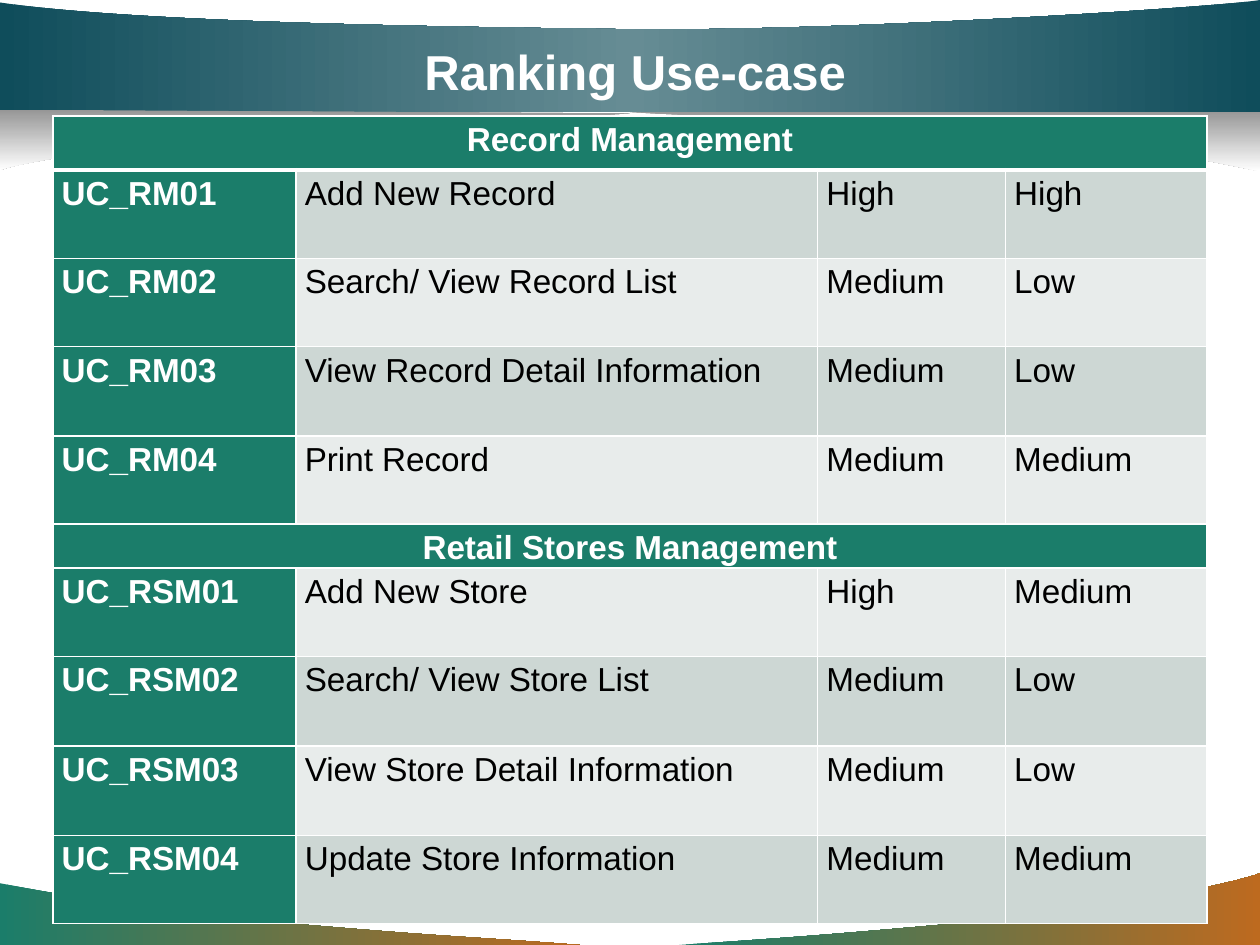
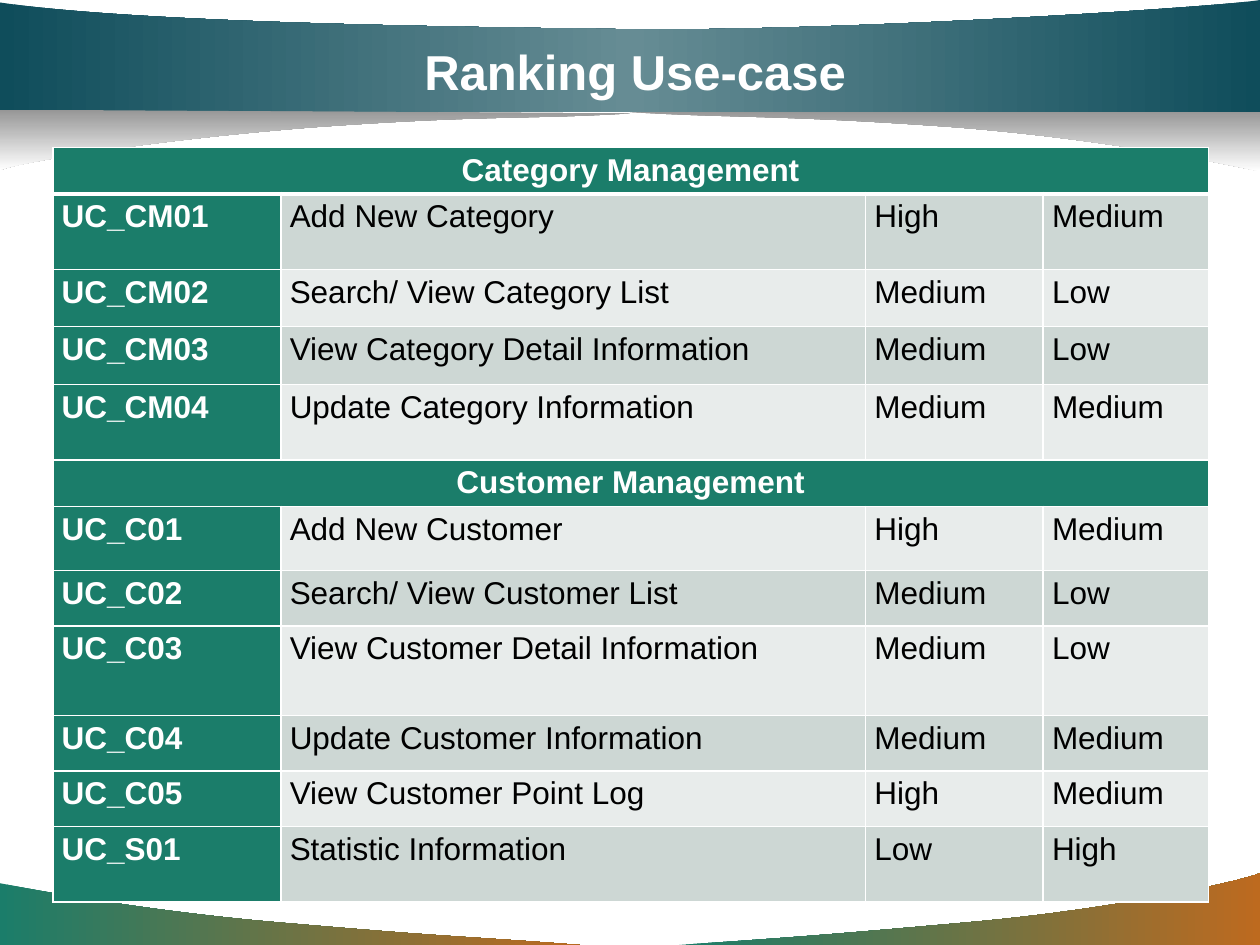
from lxml.etree import SubElement
from pptx import Presentation
from pptx.dml.color import RGBColor
from pptx.enum.text import MSO_ANCHOR as Anchor, PP_ALIGN as Align
from pptx.oxml.ns import qn
from pptx.util import Inches, Pt

FONT = "Arial"
WHITE, BLACK, GREEN = "FFFFFF", "000000", "1B7D6A"
BANDS = ["E8ECEB", "CDD7D4"]  # even rows, odd rows
TITLE = "Ranking Use-case"

FOOT = [GREEN, "BD6A1F"]
SHADE = ["969696", WHITE]
HEAD = ["0F4D5B", "668C94", "0F4D5B"]

# Colours, angle, then steps: two numbers make a line, six make a curve.
WAVES = [
    (FOOT, 0, [(4.6, 7.5), (3.84, 7.44, 3.58, 7.44, 2.32, 7.33),
               (1.06, 7.23, 0.01, 7.01, 0, 7.01), (0, 7.5)]),
    (FOOT, 0, [(5.39, 7.5), (6.14, 7.45, 6.46, 7.43, 7.69, 7.32),
               (8.92, 7.21, 9.9, 6.98, 10, 6.93), (10, 7.5)]),
    (SHADE, 270, [(5, 0.89), (5.84, 0.94, 6.2, 0.91, 7.58, 1.01),
                  (8.97, 1.12, 9.98, 1.36, 10, 1.36), (10, 0.88)]),
    (HEAD, 0, [(0, 0.89), (10, 0.89), (10, 0),
               (9.64, 0.06, 6.53, 0.26, 4.87, 0.23),
               (3.21, 0.21, 1.01, 0.17, 0, 0.02)]),
    (SHADE, 270, [(5, 0.9), (4.16, 0.95, 3.88, 0.91, 2.49, 1.01),
                  (1.1, 1.12, 0.11, 1.3, 0, 1.35), (0, 0.87)]),
]

STORES = [
    ("Record Management",),
    ("UC_RM01", "Add New Record", "High", "High"),
    ("UC_RM02", "Search/ View Record List", "Medium", "Low"),
    ("UC_RM03", "View Record Detail Information", "Medium", "Low"),
    ("UC_RM04", "Print Record", "Medium", "Medium"),
    ("Retail Stores Management",),
    ("UC_RSM01", "Add New Store", "High", "Medium"),
    ("UC_RSM02", "Search/ View Store List", "Medium", "Low"),
    ("UC_RSM03", "View Store Detail Information", "Medium", "Low"),
    ("UC_RSM04", "Update Store Information", "Medium", "Medium"),
]
CLIENTS = [
    ("Category Management",),
    ("UC_CM01", "Add New Category", "High", "Medium"),
    ("UC_CM02", "Search/ View Category List", "Medium", "Low"),
    ("UC_CM03", "View Category Detail Information", "Medium", "Low"),
    ("UC_CM04", "Update Category Information", "Medium", "Medium"),
    ("Customer Management",),
    ("UC_C01", "Add New Customer", "High", "Medium"),
    ("UC_C02", "Search/ View Customer List", "Medium", "Low"),
    ("UC_C03", "View Customer Detail Information", "Medium", "Low"),
    ("UC_C04", "Update Customer Information", "Medium", "Medium"),
    ("UC_C05", "View Customer Point Log", "High", "Medium"),
    ("UC_S01", "Statistic Information", "Low", "High"),
]


def rgb(code):
    return RGBColor.from_string(code)


def bend(shape, steps):
    """Join the three lines of each six-number step into one Bézier curve."""
    lines = iter(list(shape.element.iter(qn("a:lnTo"))))
    for step in steps:
        first, *rest = [next(lines) for _ in range(len(step) // 2)]
        if rest:
            first.tag = qn("a:cubicBezTo")
            for line in rest:
                first.append(line[0])
                line.getparent().remove(line)


def edge(cell, side, width):
    line = SubElement(cell._tc.get_or_add_tcPr(), qn(f"a:ln{side}"), w=str(Pt(width)))
    SubElement(SubElement(line, qn("a:solidFill")), qn("a:srgbClr"), val=WHITE)


class Deck:
    def __init__(self):
        self.prs = Presentation()
        self.prs.slide_width, self.prs.slide_height = Inches(10), Inches(7.5)
        self.base = self.prs.slide_layouts.get_by_name("Title Only")
        self.slide = None

    def style(self, par, size, color, bold):
        font = par.font
        font.name, font.size, font.bold = FONT, Pt(size), bold
        font.color.rgb = rgb(color)

    def page(self, title):
        self.slide = self.prs.slides.add_slide(self.base)
        box = self.slide.shapes.title
        box.left, box.top = Inches(0.75), Inches(0.25)
        box.width, box.height = Inches(8.58), Inches(0.62)
        frame = box.text_frame
        frame.text, frame.vertical_anchor = title, Anchor.MIDDLE
        par = frame.paragraphs[0]
        par.alignment = Align.CENTER
        self.style(par, 28, WHITE, True)

    def wave(self, colors, angle, steps):
        start, *rest = [(Inches(x), Inches(y)) for step in steps
                        for x, y in zip(step[::2], step[1::2])]
        pen = self.slide.shapes.build_freeform(*start, scale=1.0)
        pen.add_line_segments(rest, close=True)
        shape = pen.convert_to_shape()
        bend(shape, steps[1:])
        shape.shadow.inherit = False
        shape.line.fill.background()
        shape.fill.gradient()
        shape.fill.gradient_angle = angle
        stops = shape.element.spPr.find(qn("a:gradFill")).find(qn("a:gsLst"))
        stops.clear()
        for i, color in enumerate(colors):
            stop = SubElement(stops, qn("a:gs"), pos=str(100000 * i // (len(colors) - 1)))
            SubElement(stop, qn("a:srgbClr"), val=color)
        return shape

    def scene(self):
        """Move the waves to the layout, so that every slide shows them."""
        for spot in list(self.base.placeholders)[1:]:
            spot.element.getparent().remove(spot.element)
        tree = self.base.shapes.element
        for i, wave in enumerate(WAVES):
            tree.insert(2 + i, self.wave(*wave).element)

    def cell(self, cell, text, size, fill, head, center, last):
        cell.margin_left = cell.margin_right = Inches(0.07)
        cell.margin_top = cell.margin_bottom = 0
        cell.fill.solid()
        cell.fill.fore_color.rgb = rgb(fill)
        cell.text = text
        par = cell.text_frame.paragraphs[0]
        par.line_spacing = 1.15
        if center:
            par.alignment = Align.CENTER
        if last:
            par.space_after = Pt(10)
        self.style(par, size, WHITE if head else BLACK, head)

    def table(self, top, size, cols, heights, rows):
        table = self.slide.shapes.add_table(
            len(rows), len(cols), Inches(0.42), Inches(top),
            Inches(sum(cols)), Inches(sum(heights))).table
        table.horz_banding = False
        for col, width in zip(table.columns, cols):
            col.width = Inches(width)
        for r, (row, high) in enumerate(zip(rows, heights)):
            table.rows[r].height = Inches(high)
            for c in range(len(cols)):
                for side in "LRTB":
                    thick = (r, side) in [(0, "B"), (1, "T")]
                    edge(table.cell(r, c), side, 3 if thick else 1)
            whole = len(row) == 1
            if whole:
                table.cell(r, 0).merge(table.cell(r, len(cols) - 1))
            for c, text in enumerate(row):
                fill = GREEN if c == 0 else BANDS[r % 2]
                self.cell(table.cell(r, c), text, size, fill, c == 0,
                          whole, c == len(row) - 1)


def main():
    deck = Deck()
    deck.page(TITLE)
    deck.scene()
    deck.table(0.92, 19, [1.93, 4.14, 1.49, 1.6],
               [0.43, 0.7, 0.7, 0.71, 0.7, 0.35, 0.7, 0.71, 0.71, 0.7], STORES)
    deck.page(TITLE)
    deck.table(1.17, 18, [1.81, 4.64, 1.41, 1.31],
               [0.37, 0.6, 0.45, 0.46, 0.6, 0.37, 0.51, 0.44, 0.71, 0.44, 0.44, 0.6],
               CLIENTS)
    deck.prs.save("out.pptx")


if __name__ == "__main__":
    main()
